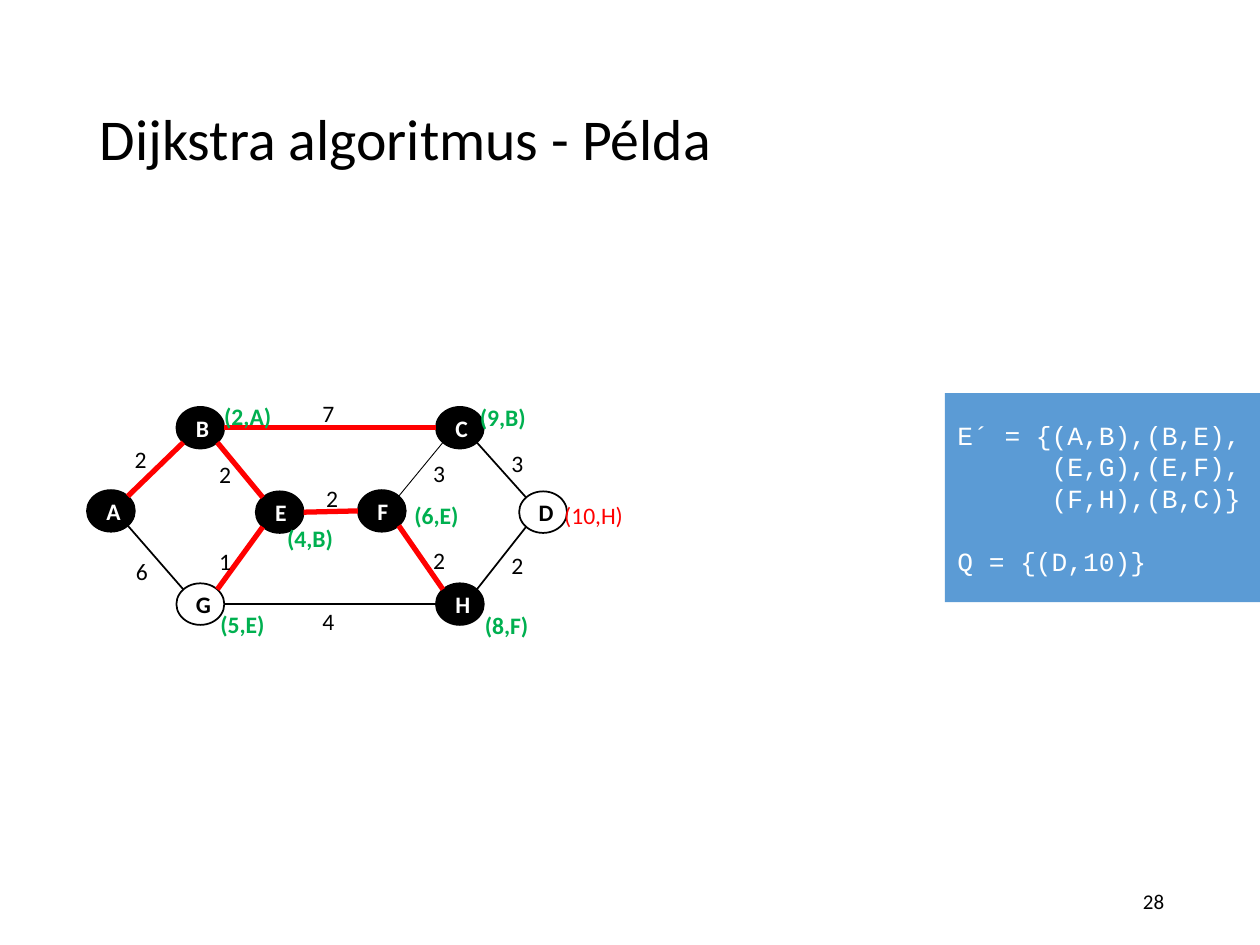
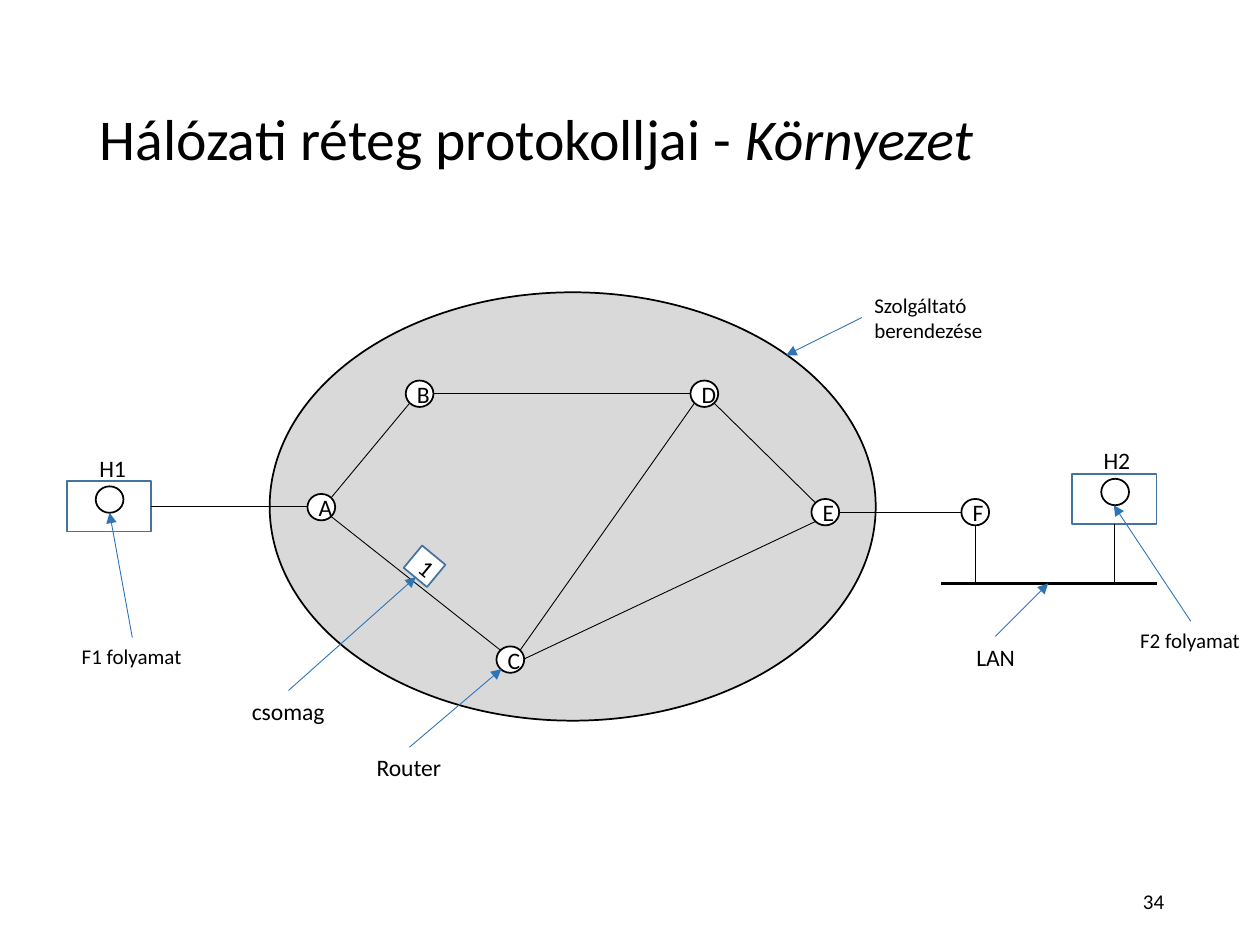
"""Build two slides: a shortest-path example and a network-layer environment."""
from lxml import etree
from pptx import Presentation
from pptx import util as u
from pptx.dml import color
from pptx.enum import shapes, text
from pptx.oxml import ns

SCALE = 9144  # EMU per px, 100 px to the inch
BLACK, WHITE, RED, GREEN = "000000", "FFFFFF", "FF0000", "00B050"
CLOUD, CODE_FILL, HOST_LINE, ARROW = "D9D9D9", "5B9BD5", "43739E", "2E75B6"
FONT, CODE_FONT = "Calibri", "Courier New"
OVAL, RECT = shapes.MSO_SHAPE.OVAL, shapes.MSO_SHAPE.RECTANGLE
LEFT, CENTER, RIGHT = text.PP_ALIGN.LEFT, text.PP_ALIGN.CENTER, text.PP_ALIGN.RIGHT
rgb = color.RGBColor.from_string


def draw(slide, kind, box, words="", size=13.5, ink=BLACK, bold=False, fill=WHITE,
         line=BLACK, align=CENTER, font=FONT, wrap=False):
    """Add a preset shape, or a text box when kind is None."""
    place = [u.Emu(value * SCALE) for value in box]
    if kind is None:
        shape = slide.shapes.add_textbox(*place)
        shape.text_frame.word_wrap = wrap
        shape.text_frame.auto_size = text.MSO_AUTO_SIZE.SHAPE_TO_FIT_TEXT
    else:
        shape = slide.shapes.add_shape(kind, *place)
        shape.shadow.inherit = False
        shape.fill.solid()
        shape.fill.fore_color.rgb = rgb(fill)
        if line:
            shape.line.color.rgb = rgb(line)
            shape.line.width = u.Pt(1)
        else:
            shape.line.fill.background()
    for index, content in enumerate(words.split("\n") if words else []):
        frame = shape.text_frame
        paragraph = frame.add_paragraph() if index else frame.paragraphs[0]
        paragraph.alignment = align
        run = paragraph.add_run()
        run.text = content
        run.font.name, run.font.size, run.font.bold = font, u.Pt(size), bold
        run.font.color.rgb = rgb(ink)
    return shape


def connect(slide, start, end, ink=BLACK, width=0.5, arrow=False):
    """Add a straight line, with an arrowhead at its end if asked."""
    ends = [u.Emu(round(value * SCALE)) for value in (*start, *end)]
    connector = slide.shapes.add_connector(shapes.MSO_CONNECTOR.STRAIGHT, *ends)
    connector.line.color.rgb = rgb(ink)
    connector.line.width = u.Pt(width)
    properties = connector._element.spPr
    if arrow:
        etree.SubElement(properties.find(ns.qn("a:ln")), ns.qn("a:tailEnd"), type="triangle")
    etree.SubElement(properties, ns.qn("a:effectLst"))
    return connector


presentation = Presentation()
presentation.slide_width, presentation.slide_height = u.Emu(1000 * SCALE), u.Emu(750 * SCALE)

headings = [
    ([("Dijkstra algoritmus - Példa", False)], "28"),
    ([("Hálózati réteg protokolljai - ", False), ("Környezet", True)], "34"),
]
for runs, number in headings:
    slide = presentation.slides.add_slide(presentation.slide_layouts[5])
    title = slide.shapes.title
    title.left, title.top, title.width, title.height = [
        u.Emu(value * SCALE) for value in (69, 40, 862, 145)]
    title.text_frame.auto_size = text.MSO_AUTO_SIZE.NONE
    title.text_frame.vertical_anchor = text.MSO_ANCHOR.MIDDLE
    paragraph = title.text_frame.paragraphs[0]
    paragraph.alignment, paragraph.line_spacing = LEFT, 0.9
    for content, italic in runs:
        run = paragraph.add_run()
        run.text = content
        run.font.name, run.font.size, run.font.italic = FONT, u.Pt(33), italic
        run.font.color.rgb = rgb(BLACK)
    footer = draw(slide, None, (706, 695, 225, 40), number, 12, align=RIGHT, wrap=True).text_frame
    footer.auto_size = text.MSO_AUTO_SIZE.NONE
    footer.vertical_anchor = text.MSO_ANCHOR.MIDDLE
    footer.margin_left = footer.margin_right = u.Emu(7 * SCALE)
    footer.margin_top = footer.margin_bottom = u.Emu(4 * SCALE)

dijkstra, network = presentation.slides
draw(network, OVAL, (214, 232, 481, 340), fill=CLOUD)

dijkstra_nodes = {"A": (69, 389), "B": (140, 323), "G": (140, 463), "C": (346, 323),
                  "H": (346, 463), "D": (412, 390), "E": (203, 390), "F": (284, 389)}
dijkstra_edges = [("AB", RED, 3), ("AG", BLACK, 1), ("BC", RED, 3), ("GH", BLACK, 1),
                  ("HD", BLACK, 1), ("CD", BLACK, 1), ("BE", RED, 3), ("GE", RED, 3),
                  ("EF", RED, 3), ("FC", BLACK, 0.5), ("FH", RED, 3)]
routers = {"A": (244, 392), "C": (394, 513), "B": (322, 302), "D": (548, 302),
           "E": (644, 396), "F": (763, 396)}
links = [(pair, BLACK, 0.5) for pair in ("BD", "AB", "AC", "CD", "DE", "EF")]
graphs = [(dijkstra, dijkstra_nodes, dijkstra_edges, 38, 33, "ABCEFH", True),
          (network, routers, links, 22, 21, "", False)]
for slide, nodes, edges, width, height, visited, bold in graphs:
    for name, (x, y) in nodes.items():
        fill, ink = (BLACK, WHITE) if name in visited else (WHITE, BLACK)
        draw(slide, OVAL, (x, y, width, height), name, ink=ink, bold=bold, fill=fill)
    for (first, last), ink, weight in edges:
        (x1, y1), (x2, y2) = nodes[first], nodes[last]
        level = abs(y2 - y1) < 10
        reach_x = width / 2 * (1 if level else 0.71)
        reach_y = 0 if level else height / 2 * (0.71 if y2 > y1 else -0.71)
        start = (x1 + width / 2 + reach_x, y1 + height / 2 + reach_y)
        end = (x2 + width / 2 - reach_x, y2 + height / 2 - reach_y)
        connect(slide, start, end, ink, weight)

for weight, x, y in [("2", 97, 348), ("6", 98, 437), ("1", 164, 429), ("2", 164, 360),
                     ("7", 246, 312), ("2", 334, 428), ("3", 334, 359), ("4", 246, 477),
                     ("2", 396, 432), ("3", 396, 351), ("2", 249, 379)]:
    draw(dijkstra, None, (x, y, 30, 33), weight, align=LEFT)
for label, x, y in [("(6,E)", 319, 393), ("(4,B)", 218, 411), ("(5,E)", 165, 479),
                    ("(2,A)", 168, 314), ("(9,B)", 371, 315), ("(8,F)", 375, 480)]:
    draw(dijkstra, None, (x, y, 62, 33), label, ink=GREEN, bold=True, align=LEFT)
draw(dijkstra, None, (438, 393, 70, 33), "(10,H)", ink=RED, align=LEFT)

state = draw(dijkstra, RECT, (750, 312, 250, 166),
             "E´ = {(A,B),(B,E),\n      (E,G),(E,F),\n      (F,H),(B,C)}\nQ = {(D,10)}",
             15, WHITE, fill=CODE_FILL, line=None, align=LEFT, font=CODE_FONT)
state.text_frame.paragraphs[3].space_before = u.Pt(18)

hosts = []
for x, y in [(53, 382), (851, 376)]:
    hosts.append(draw(network, RECT, (x, y, 67, 40), line=HOST_LINE))
    draw(network, OVAL, (x + 23, y + 4, 22, 21))
connect(network, (120, 402), (244, 402)).begin_connect(hosts[0], 3)
connect(network, (885, 416), (884.5, 463)).begin_connect(hosts[1], 2)
connect(network, (416, 523), (647, 414))
connect(network, (774, 417), (774, 463))
connect(network, (747, 463), (918, 463), width=1.5)

packet = draw(network, RECT, (325, 438, 24, 23), "1", line=HOST_LINE)
packet.rotation = 39.6

for start, end in [((105, 506), (87, 407)), ((945, 493), (884, 401)), ((790, 505), (832, 463)),
                   ((684, 252), (624, 282)), ((325, 593), (398, 531)), ((229, 548), (330, 458))]:
    connect(network, start, end, ARROW, arrow=True)
for label, x, y, width, size in [
        ("H1", 69, 355, 42, 13.5), ("H2", 866, 349, 42, 13.5), ("LAN", 765, 505, 51, 13.5),
        ("Router", 289, 593, 72, 13.5), ("csomag", 190, 548, 79, 13.5),
        ("F1 folyamat", 55, 506, 100, 12), ("F2 folyamat", 895, 493, 100, 12)]:
    draw(network, None, (x, y, width, 33 if size > 12 else 30), label, size, align=LEFT)
draw(network, None, (684, 227, 112, 50), "Szolgáltató berendezése", 12, align=LEFT, wrap=True)

presentation.save("out.pptx")
